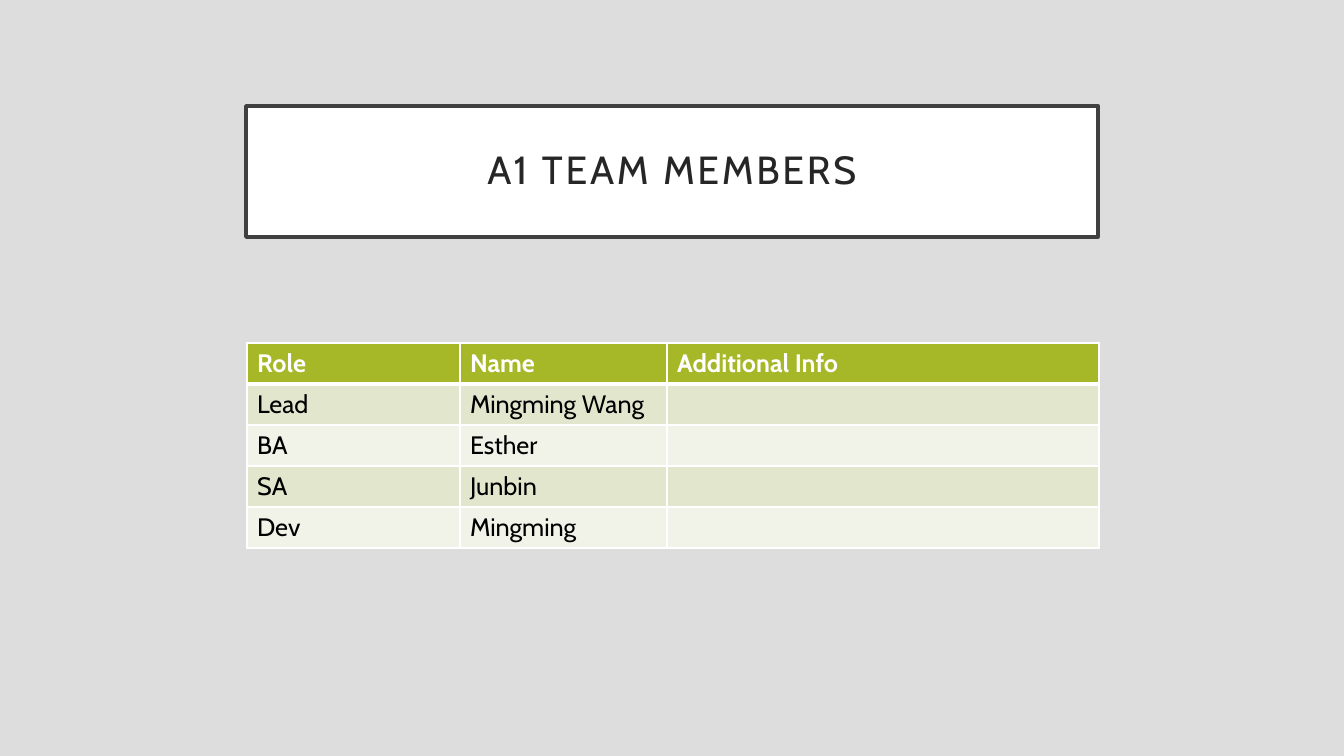
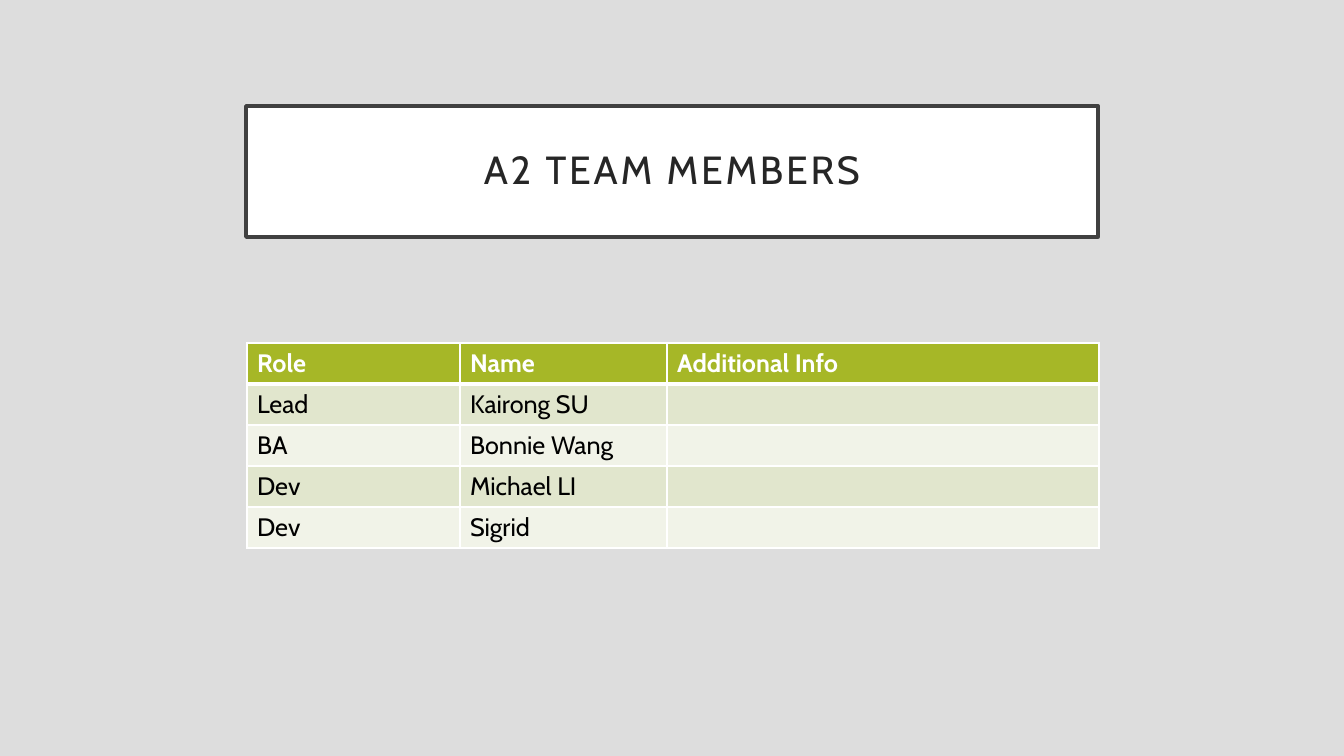
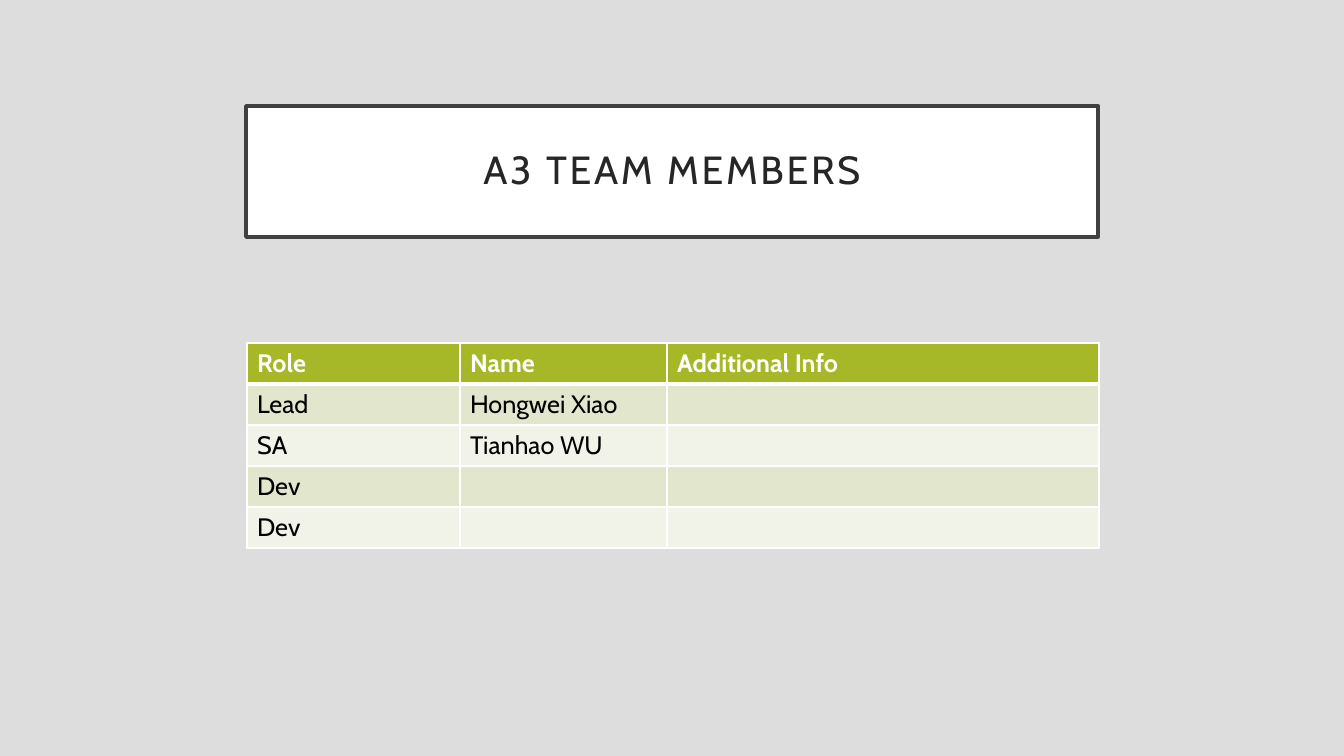
import lxml.etree
import pptx
import pptx.dml.color
import pptx.enum.shapes
import pptx.enum.text
import pptx.oxml.ns
import pptx.util

EMU_PER_PX = 914400 / 100.8
FONT = "Cabin"
WHITE = "FFFFFF"
BLACK = "000000"
BACKGROUND = "DDDDDD"
TITLE_TEXT = "262626"
TITLE_LINE = "404040"
HEADER_FILL = "A6B727"
BAND_FILLS = ("E1E6CD", "F1F3E8")

SLIDE_SIZE = (1344, 756)
TITLE_BOX = (246, 106, 852, 131)
TITLE_INSET = 20
TABLE_ORIGIN = (247, 343)
COLUMN_WIDTHS = (213, 207, 432)
ROW_HEIGHT = 41
HEADER = ("Role", "Name", "Additional Info")

TEAMS = {
    "A1 TEAM MEMBERS": [
        ("Lead", "Mingming Wang", ""),
        ("BA", "Esther", ""),
        ("SA", "Junbin", ""),
        ("Dev", "Mingming", ""),
    ],
    "A2 TEAM MEMBERS": [
        ("Lead", "Kairong SU", ""),
        ("BA", "Bonnie Wang", ""),
        ("Dev", "Michael LI", ""),
        ("Dev", "Sigrid", ""),
    ],
    "A3 TEAM MEMBERS": [
        ("Lead", "Hongwei Xiao", ""),
        ("SA", "Tianhao WU", ""),
        ("Dev", "", ""),
        ("Dev", "", ""),
    ],
}


def px(length):
    """Turn px into EMU."""
    return pptx.util.Emu(round(length * EMU_PER_PX))


def color(hex_string):
    """Turn a hex string into a colour."""
    return pptx.dml.color.RGBColor.from_string(hex_string)


def paint(fill, hex_string):
    """Make a fill solid."""
    fill.solid()
    fill.fore_color.rgb = color(hex_string)


def format_runs(text_frame, size, hex_string, bold=False):
    """Set the font of every run in a text frame."""
    for paragraph in text_frame.paragraphs:
        for run in paragraph.runs:
            run.font.name = FONT
            run.font.size = pptx.util.Pt(size)
            run.font.bold = bold
            run.font.color.rgb = color(hex_string)


def add_title(slide, text, box):
    """Add the framed title in its box."""
    shape = slide.shapes.add_shape(
        pptx.enum.shapes.MSO_SHAPE.RECTANGLE, *map(px, box))
    shape.shadow.inherit = False
    paint(shape.fill, WHITE)
    paint(shape.line.fill, TITLE_LINE)
    shape.line.width = pptx.util.Pt(2.5)
    text_frame = shape.text_frame
    text_frame.word_wrap = True
    text_frame.vertical_anchor = pptx.enum.text.MSO_ANCHOR.MIDDLE
    text_frame.margin_left = text_frame.margin_right = px(TITLE_INSET)
    text_frame.margin_top = text_frame.margin_bottom = px(TITLE_INSET)
    text_frame.text = text
    paragraph = text_frame.paragraphs[0]
    paragraph.alignment = pptx.enum.text.PP_ALIGN.CENTER
    paragraph.line_spacing = 0.9
    format_runs(text_frame, 28, TITLE_TEXT)
    paragraph.runs[0].font._element.set("spc", "200")


def add_borders(cell, top, bottom):
    """Draw white cell borders, with top and bottom widths in points."""
    properties = cell._tc.get_or_add_tcPr()
    for side, width in (("L", 1), ("R", 1), ("T", top), ("B", bottom)):
        line = lxml.etree.SubElement(
            properties, pptx.oxml.ns.qn(f"a:ln{side}"), w=str(pptx.util.Pt(width)))
        fill = lxml.etree.SubElement(line, pptx.oxml.ns.qn("a:solidFill"))
        lxml.etree.SubElement(fill, pptx.oxml.ns.qn("a:srgbClr"), val=WHITE)


def add_member_table(slide, members, origin):
    """Add the banded table of members at its top left corner."""
    rows = [HEADER, *members]
    size = (sum(COLUMN_WIDTHS), ROW_HEIGHT * len(rows))
    table = slide.shapes.add_table(
        len(rows), len(HEADER), *map(px, origin + size)).table
    for column, width in zip(table.columns, COLUMN_WIDTHS):
        column.width = px(width)
    for row_index, values in enumerate(rows):
        is_header = row_index == 0
        table.rows[row_index].height = px(ROW_HEIGHT)
        row_fill = HEADER_FILL if is_header else BAND_FILLS[(row_index - 1) % 2]
        for cell, value in zip(table.rows[row_index].cells, values):
            add_borders(cell, 3 if row_index == 1 else 1, 3 if is_header else 1)
            paint(cell.fill, row_fill)
            if value:
                cell.text_frame.text = value
                format_runs(cell.text_frame, 18, WHITE if is_header else BLACK, is_header)


def add_team_slide(presentation, title, members):
    """Add a slide with a team's title and members."""
    slide = presentation.slides.add_slide(presentation.slide_layouts[6])
    add_title(slide, title, TITLE_BOX)
    add_member_table(slide, members, TABLE_ORIGIN)


def main():
    """Build and save the presentation."""
    presentation = pptx.Presentation()
    presentation.slide_width, presentation.slide_height = map(px, SLIDE_SIZE)
    paint(presentation.slide_master.background.fill, BACKGROUND)
    for title, members in TEAMS.items():
        add_team_slide(presentation, title, members)
    presentation.save("out.pptx")


if __name__ == "__main__":
    main()
